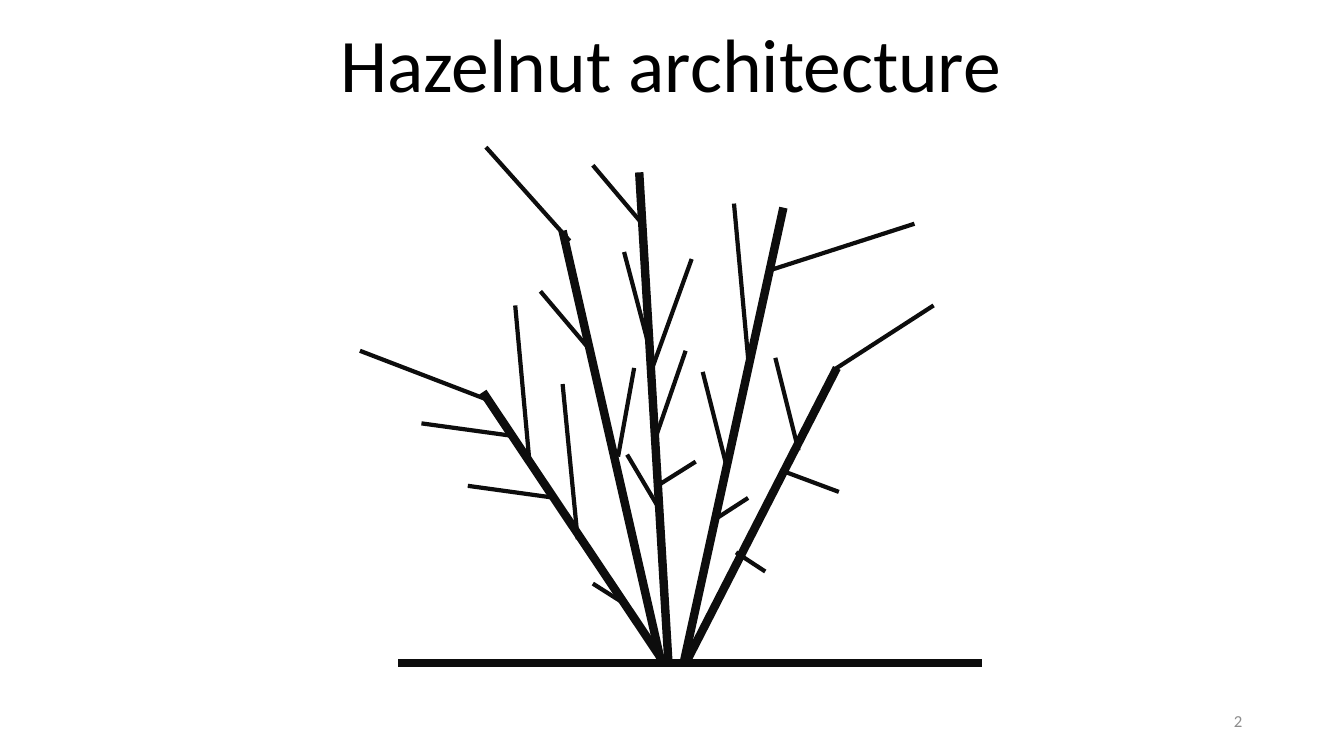
import pptx
import pptx.util
import pptx.dml.color
import pptx.enum.shapes
import pptx.enum.text
import lxml.etree

Inches, Pt = pptx.util.Inches, pptx.util.Pt
RGB = pptx.dml.color.RGBColor.from_string
ALIGN = pptx.enum.text.PP_ALIGN
ANCHOR = pptx.enum.text.MSO_ANCHOR

# Content: each line is (x1, y1, x2, y2) in inches
TITLE = "Hazelnut architecture"
NUMBER = "2"
SOIL = 6.58
GROUND = [(3.95, SOIL, 9.74, SOIL)]
STEMS = [
    (5.58, 2.29, 6.56, SOIL),
    (6.34, 1.71, 6.63, SOIL),
    (7.77, 2.06, 6.78, SOIL),
    (8.3, 3.65, 6.8, SOIL),
    (4.79, 3.89, 6.59, SOIL),
]
TWIGS = [
    # Upright shoots
    (5.58, 3.81, 5.73, 5.35),
    (5.11, 3.03, 5.25, 4.57),
    (7.28, 2.02, 7.42, 3.55),
    (7.69, 3.55, 7.92, 4.47),
    (6.97, 3.69, 7.2, 4.6),
    (6.19, 2.5, 6.43, 3.41),
    (6.86, 2.57, 6.47, 3.65),
    (6.8, 3.48, 6.51, 4.32),
    (6.29, 3.65, 6.13, 4.53),
    # Low side shoots
    (7.81, 4.69, 8.32, 4.88),
    (7.3, 5.48, 7.59, 5.67),
    (5.88, 5.79, 6.18, 5.98),
    (4.64, 4.82, 5.51, 4.94),
    (4.18, 4.2, 5.05, 4.32),
    (3.57, 3.48, 4.82, 3.96),
    # Slanted shoots
    (4.82, 1.46, 5.65, 2.39),
    (8.27, 3.67, 9.26, 3.03),
    (5.36, 2.89, 5.85, 3.47),
    (5.88, 1.64, 6.37, 2.22),
    (7.64, 2.68, 9.07, 2.22),
    (7.08, 5.16, 7.42, 4.94),
    (6.55, 4.8, 6.9, 4.58),
    (6.22, 4.51, 6.54, 5.05),
]

THEME = {
    "font": "Calibri",
    "bark": "0D0D0D",
    "title": ("000000", 54),
    "number": ("8C8C8C", 12),
    "thick": 6,
    "thin": 3,
}


def add_line(group, ends, width):
    line = group.shapes.add_connector(
        pptx.enum.shapes.MSO_CONNECTOR.STRAIGHT, *map(Inches, ends))
    line.line.color.rgb = RGB(THEME["bark"])
    line.line.width = Pt(width)
    props = line._element.spPr
    lxml.etree.SubElement(props, pptx.oxml.ns.qn("a:effectLst"))


def add_text(slide, box, text, style, align, anchor, wrap):
    frame = slide.shapes.add_textbox(*map(Inches, box)).text_frame
    frame.word_wrap = wrap
    frame.vertical_anchor = anchor
    para = frame.paragraphs[0]
    para.alignment = align
    run = para.add_run()
    run.text = text
    color, size = style
    run.font.name = THEME["font"]
    run.font.size = Pt(size)
    run.font.color.rgb = RGB(color)
    return frame


def main():
    deck = pptx.Presentation()
    deck.slide_width, deck.slide_height = Inches(13.33), Inches(7.5)
    slide = deck.slides.add_slide(deck.slide_layouts[6])

    # Shrub: ground, stems, then twigs
    shrub = slide.shapes.add_group_shape()
    for ends in GROUND + STEMS:
        add_line(shrub, ends, THEME["thick"])
    for ends in TWIGS:
        add_line(shrub, ends, THEME["thin"])

    # Title and slide number
    title = add_text(slide, (3.24, 0.12, 6.83, 1.01), TITLE,
                     THEME["title"], ALIGN.CENTER, ANCHOR.TOP, False)
    title.auto_size = pptx.enum.text.MSO_AUTO_SIZE.SHAPE_TO_FIT_TEXT
    add_text(slide, (9.42, 6.95, 3, 0.4), NUMBER,
             THEME["number"], ALIGN.RIGHT, ANCHOR.MIDDLE, True)

    deck.save("out.pptx")


if __name__ == "__main__":
    main()
